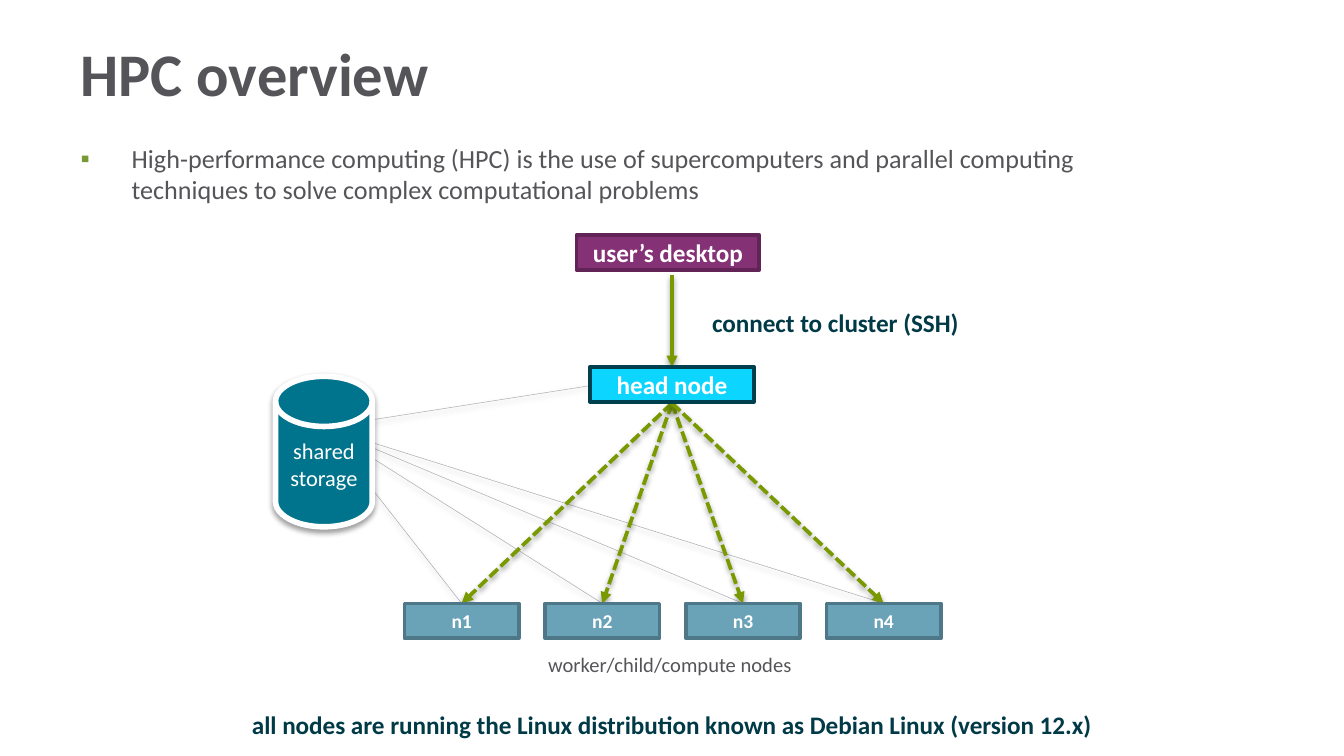
from lxml.etree import SubElement
from pptx import Presentation
from pptx.dml.color import RGBColor
from pptx.enum.dml import MSO_LINE
from pptx.enum.shapes import MSO_CONNECTOR, MSO_SHAPE
from pptx.enum.text import MSO_ANCHOR, MSO_AUTO_SIZE, PP_ALIGN
from pptx.oxml.ns import qn
from pptx.util import Inches, Pt

WHITE = RGBColor(0xFF, 0xFF, 0xFF)
GREY = RGBColor(0x55, 0x55, 0x59)
LINK_GREY = RGBColor(0xA9, 0xA9, 0xAD)
GREEN = RGBColor(0x79, 0x99, 0x00)
BULLET_GREEN = RGBColor(0x79, 0x99, 0x34)
DARK_TEAL = RGBColor(0x00, 0x3A, 0x46)
TEAL = RGBColor(0x00, 0x74, 0x8C)
PURPLE = RGBColor(0x85, 0x31, 0x75)
DARK_PURPLE = RGBColor(0x62, 0x24, 0x57)
CYAN = RGBColor(0x0C, 0xD5, 0xFF)
CYAN_EDGE = RGBColor(0x00, 0x40, 0x4E)
NODE_BLUE = RGBColor(0x6A, 0xA2, 0xB8)
NODE_EDGE = RGBColor(0x4E, 0x78, 0x88)


class DiagramSlide:
    font_name = "Calibri"

    def __init__(self, slide):
        self.slide = slide

    def place(self, shape, box):
        shape.left, shape.top, shape.width, shape.height = map(Inches, box)

    def style_text(self, frame, size, color, bold=False, align=PP_ALIGN.LEFT):
        for paragraph in frame.paragraphs:
            paragraph.alignment = align
            for run in paragraph.runs:
                run.font.name = self.font_name
                run.font.size = Pt(size)
                run.font.bold = bold
                run.font.color.rgb = color

    def soft_shadow(self, shape):
        effects = SubElement(shape._element.spPr, qn("a:effectLst"))
        shadow = SubElement(effects, qn("a:outerShdw"), blurRad=str(Pt(3.1)),
                            dist=str(Pt(1.6)), dir="5400000", rotWithShape="0")
        color = SubElement(shadow, qn("a:srgbClr"), val="000000")
        SubElement(color, qn("a:alpha"), val="38000")

    def title(self, text, box):
        title = self.slide.shapes.title
        self.place(title, box)
        frame = title.text_frame
        frame.text = text
        frame.auto_size = MSO_AUTO_SIZE.NONE
        frame.vertical_anchor = MSO_ANCHOR.MIDDLE
        self.style_text(frame, 32.4, GREY, bold=True)

    def bullet(self, text, box):
        body = self.slide.placeholders[1]
        self.place(body, box)
        frame = body.text_frame
        frame.text = text
        frame.auto_size = MSO_AUTO_SIZE.NONE
        paragraph = frame.paragraphs[0]
        paragraph.space_before = Pt(0)
        properties = paragraph._p.get_or_add_pPr()
        properties.set("marL", str(Inches(0.38)))
        properties.set("indent", str(Inches(-0.38)))
        bullet_color = SubElement(properties, qn("a:buClr"))
        SubElement(bullet_color, qn("a:srgbClr"), val=str(BULLET_GREEN))
        SubElement(properties, qn("a:buFont"), typeface="Arial")
        SubElement(properties, qn("a:buChar"), char="▪")
        self.style_text(frame, 14, GREY)

    def label(self, text, box, size, color, bold=False, align=PP_ALIGN.LEFT):
        label = self.slide.shapes.add_textbox(*map(Inches, box))
        label.text_frame.text = text
        label.text_frame.word_wrap = False
        self.style_text(label.text_frame, size, color, bold, align)

    def block(self, text, box, fill, edge, size, kind=MSO_SHAPE.RECTANGLE,
              edge_width=2, bold=True, shadow=False):
        block = self.slide.shapes.add_shape(kind, *map(Inches, box))
        block.fill.solid()
        block.fill.fore_color.rgb = fill
        block.line.color.rgb = edge
        block.line.width = Pt(edge_width)
        if shadow:
            self.soft_shadow(block)
        else:
            block.shadow.inherit = False
        frame = block.text_frame
        frame.margin_left = frame.margin_right = 0
        frame.word_wrap = True
        frame.vertical_anchor = MSO_ANCHOR.MIDDLE
        frame.text = text
        self.style_text(frame, size, WHITE, bold, PP_ALIGN.CENTER)

    def link(self, start, end, color=LINK_GREY, width=0.25):
        link = self.slide.shapes.add_connector(
            MSO_CONNECTOR.STRAIGHT, *map(Inches, start + end))
        link.line.color.rgb = color
        link.line.width = Pt(width)
        self.soft_shadow(link)
        return link

    def arrow(self, start, end, dashed=False):
        arrow = self.link(start, end, GREEN, 2)
        if dashed:
            arrow.line.dash_style = MSO_LINE.SQUARE_DOT
        SubElement(arrow.line._get_or_add_ln(), qn("a:tailEnd"), type="triangle")


def main():
    presentation = Presentation()
    presentation.slide_width = Inches(10)
    presentation.slide_height = presentation.slide_width * 9 // 16
    overview = DiagramSlide(
        presentation.slides.add_slide(presentation.slide_layouts[1]))

    storage_center = (2.41, 3.18)
    head_bottom = (5, 3)
    node_width, node_height, node_top = 0.85, 0.26, 4.49
    first_left, last_left = 3.01, 6.15
    node_pitch = (last_left - first_left) / 3
    node_lefts = [first_left + node_pitch * i for i in range(4)]
    node_entries = [(left + node_width / 2, node_top) for left in node_lefts]

    overview.title("HPC overview", (0.5, 0.24, 8.06, 0.6))
    overview.bullet(
        "High-performance computing (HPC) is the use of supercomputers and "
        "parallel computing techniques to solve complex computational problems",
        (0.5, 1.01, 8.46, 3.17))

    for entry in node_entries:
        overview.link(entry, storage_center)
    overview.link((4.39, 2.87), storage_center)
    overview.arrow((5, 2.05), (5, 2.73))
    for entry in node_entries:
        overview.arrow(head_bottom, entry, dashed=True)

    overview.block("shared\nstorage", (2.05, 2.8, 0.72, 1.12), TEAL, WHITE, 12,
                   MSO_SHAPE.FLOWCHART_MAGNETIC_DISK, edge_width=3, bold=False,
                   shadow=True)
    overview.block("user’s desktop", (4.29, 1.75, 1.36, 0.26),
                   PURPLE, DARK_PURPLE, 13.5)
    overview.block("head node", (4.39, 2.73, 1.22, 0.26), CYAN, CYAN_EDGE, 13.5)
    for number, left in enumerate(node_lefts, start=1):
        overview.block(f"n{number}", (left, node_top, node_width, node_height),
                       NODE_BLUE, NODE_EDGE, 10.5)

    overview.label("connect to cluster (SSH)", (5.2, 2.24, 2.06, 0.33),
                   13.5, DARK_TEAL, bold=True)
    overview.label("worker/child/compute nodes", (3.98, 4.8, 2.04, 0.29), 11, GREY)
    overview.label(
        "all nodes are running the Linux distribution known as "
        "Debian Linux (version 12.x)",
        (1.73, 5.23, 6.54, 0.33), 13.5, DARK_TEAL, bold=True,
        align=PP_ALIGN.CENTER)

    presentation.save("out.pptx")


if __name__ == "__main__":
    main()
